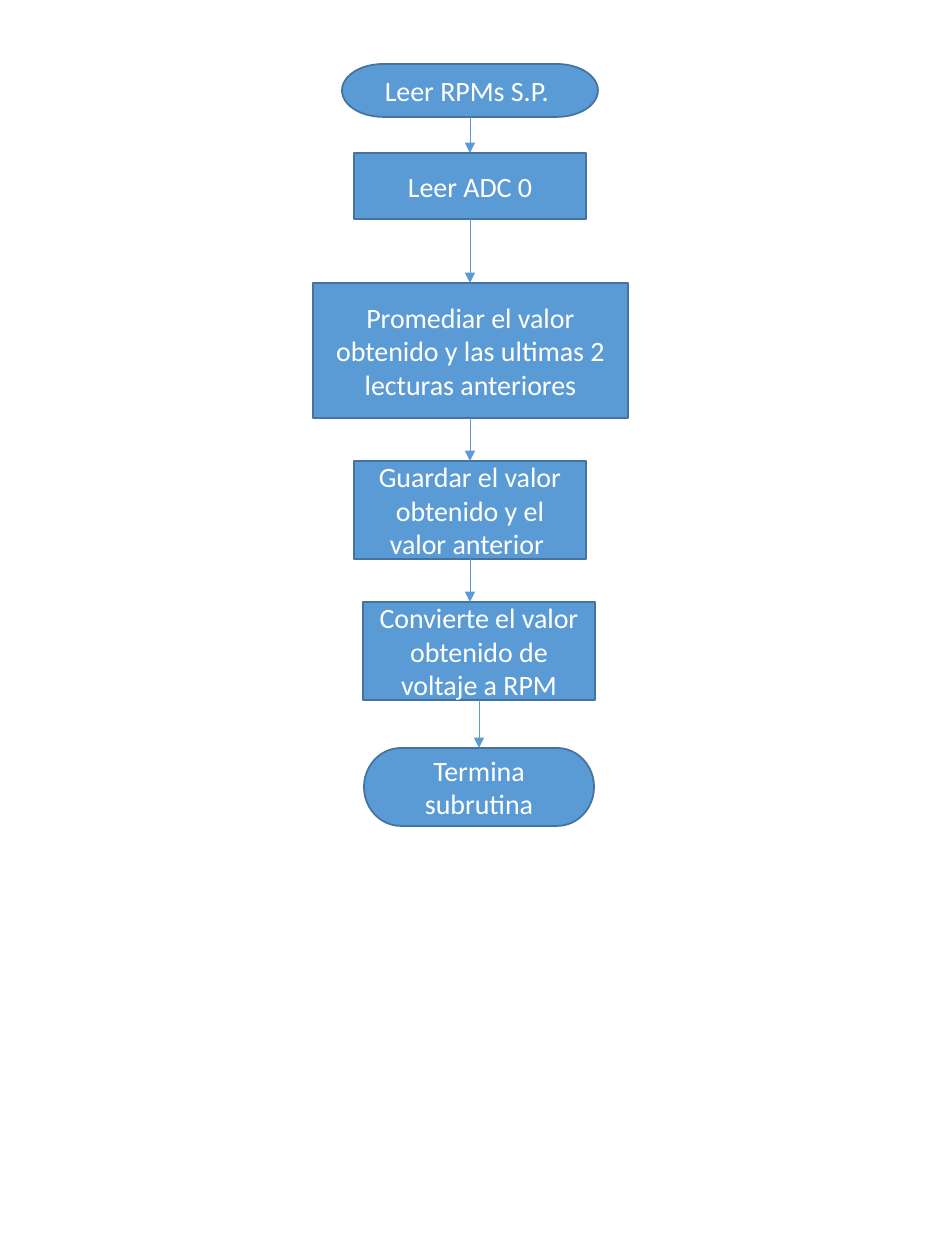
from lxml.etree import SubElement
from pptx import Presentation
from pptx.dml.color import RGBColor
from pptx.enum.shapes import MSO_CONNECTOR, MSO_SHAPE
from pptx.enum.text import MSO_ANCHOR, PP_ALIGN
from pptx.oxml.ns import qn
from pptx.util import Emu, Pt

PX_PER_INCH = 126
COLORS = {"fill": "5B9BD5", "border": "43739E", "arrow": "5B9BD5", "text": "FFFFFF"}
TERMINATOR = MSO_SHAPE.FLOWCHART_TERMINATOR
PROCESS = MSO_SHAPE.FLOWCHART_PROCESS

# Kind, text, centre x, top, width, height
STEPS = [
    (TERMINATOR, "Leer RPMs S.P. ", 470, 64, 256, 53),
    (PROCESS, "Leer ADC 0", 470, 153, 232, 66),
    (PROCESS, "Promediar el valor obtenido y las ultimas 2 lecturas anteriores",
     470, 283, 315, 135),
    (PROCESS, "Guardar el valor obtenido y el valor anterior ", 470, 461, 232, 98),
    (PROCESS, "Convierte el valor obtenido de voltaje a RPM", 479, 602, 232, 98),
    (TERMINATOR, "Termina subrutina", 479, 748, 230, 78),
]


def px(length):
    return Emu(round(length * 914400 / PX_PER_INCH))


def color(role):
    return RGBColor.from_string(COLORS[role])


def apply_format(target, values):
    for attribute, value in values.items():
        setattr(target, attribute, value)


class Flowchart:
    font = {"name": "Calibri", "size": Pt(16)}
    frame = {"word_wrap": True, "vertical_anchor": MSO_ANCHOR.MIDDLE}

    def __init__(self, slide):
        self.slide = slide

    def step(self, kind, text, center, top, width, height):
        box = self.slide.shapes.add_shape(
            kind, px(center - width // 2), px(top), px(width), px(height))
        box.shadow.inherit = False
        box.fill.solid()
        box.fill.fore_color.rgb = color("fill")
        box.line.color.rgb = color("border")
        box.line.width = Pt(1)
        apply_format(box.text_frame, self.frame)
        paragraph = box.text_frame.paragraphs[0]
        paragraph.alignment = PP_ALIGN.CENTER
        run = paragraph.add_run()
        run.text = text
        apply_format(run.font, self.font)
        run.font.color.rgb = color("text")

    def arrow(self, x, start, end):
        """Draw a downward arrow from start to end."""
        link = self.slide.shapes.add_connector(
            MSO_CONNECTOR.STRAIGHT, px(x), px(start), px(x), px(end))
        link.line.color.rgb = color("arrow")
        link.line.width = Pt(0.5)
        SubElement(link.line._get_or_add_ln(), qn("a:tailEnd"), type="triangle")
        SubElement(link._element.spPr, qn("a:effectLst"))


def main():
    deck = Presentation()
    deck.slide_width, deck.slide_height = px(945), px(1260)
    chart = Flowchart(deck.slides.add_slide(deck.slide_layouts[6]))
    for step in STEPS:
        chart.step(*step)
    for upper, lower in zip(STEPS, STEPS[1:]):
        _, _, center, top, _, height = upper
        chart.arrow(center, top + height, lower[3])
    deck.save("out.pptx")


if __name__ == "__main__":
    main()
